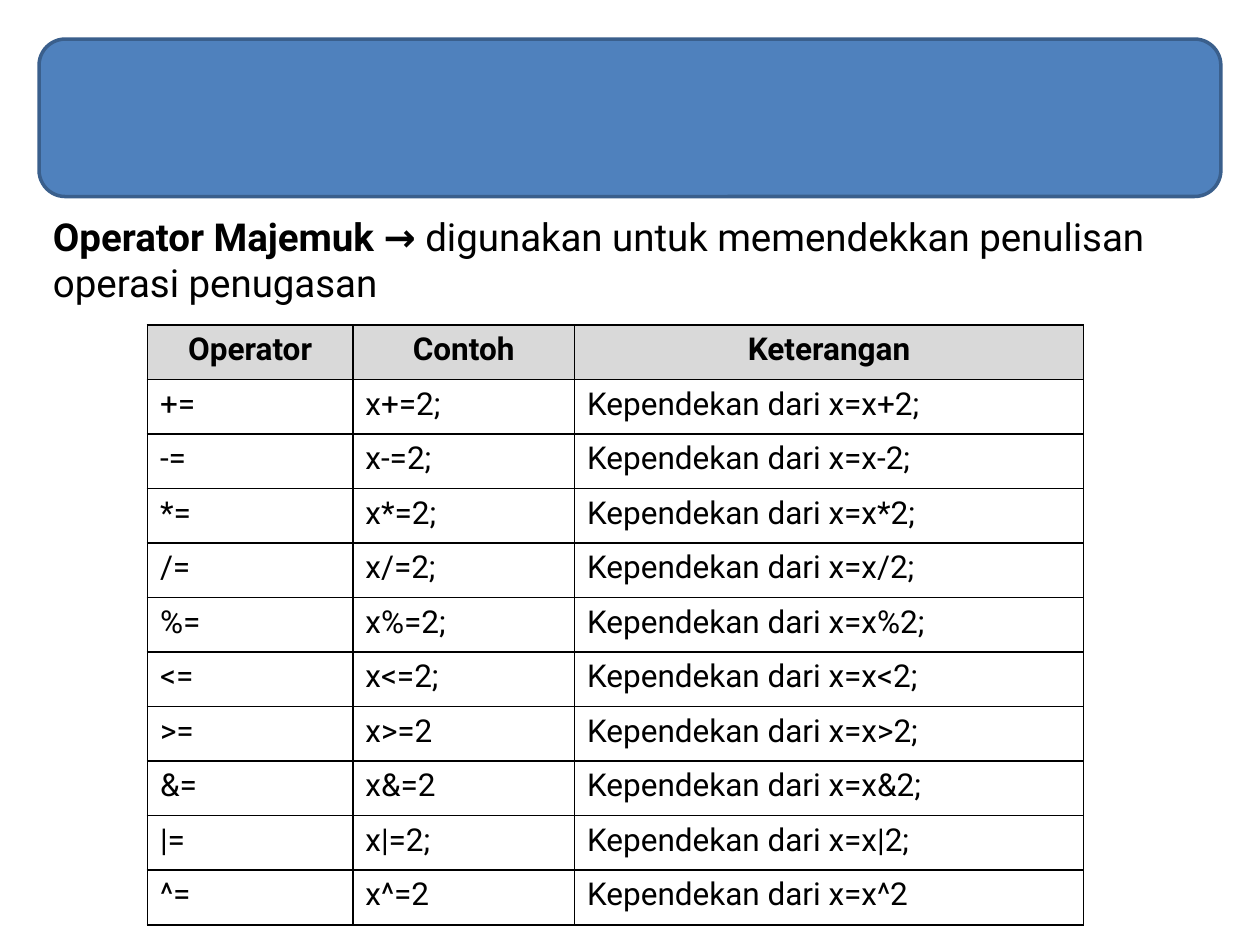
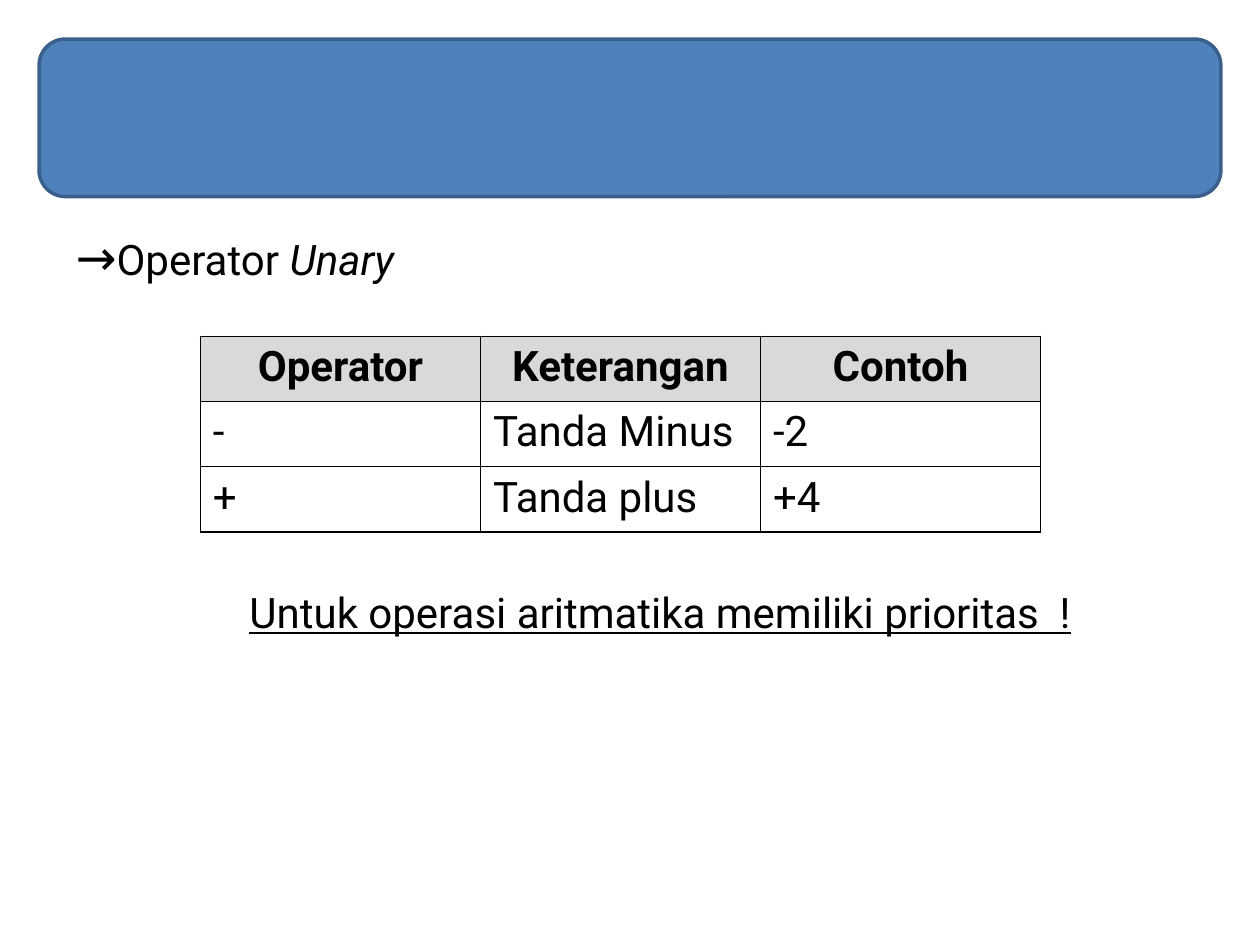
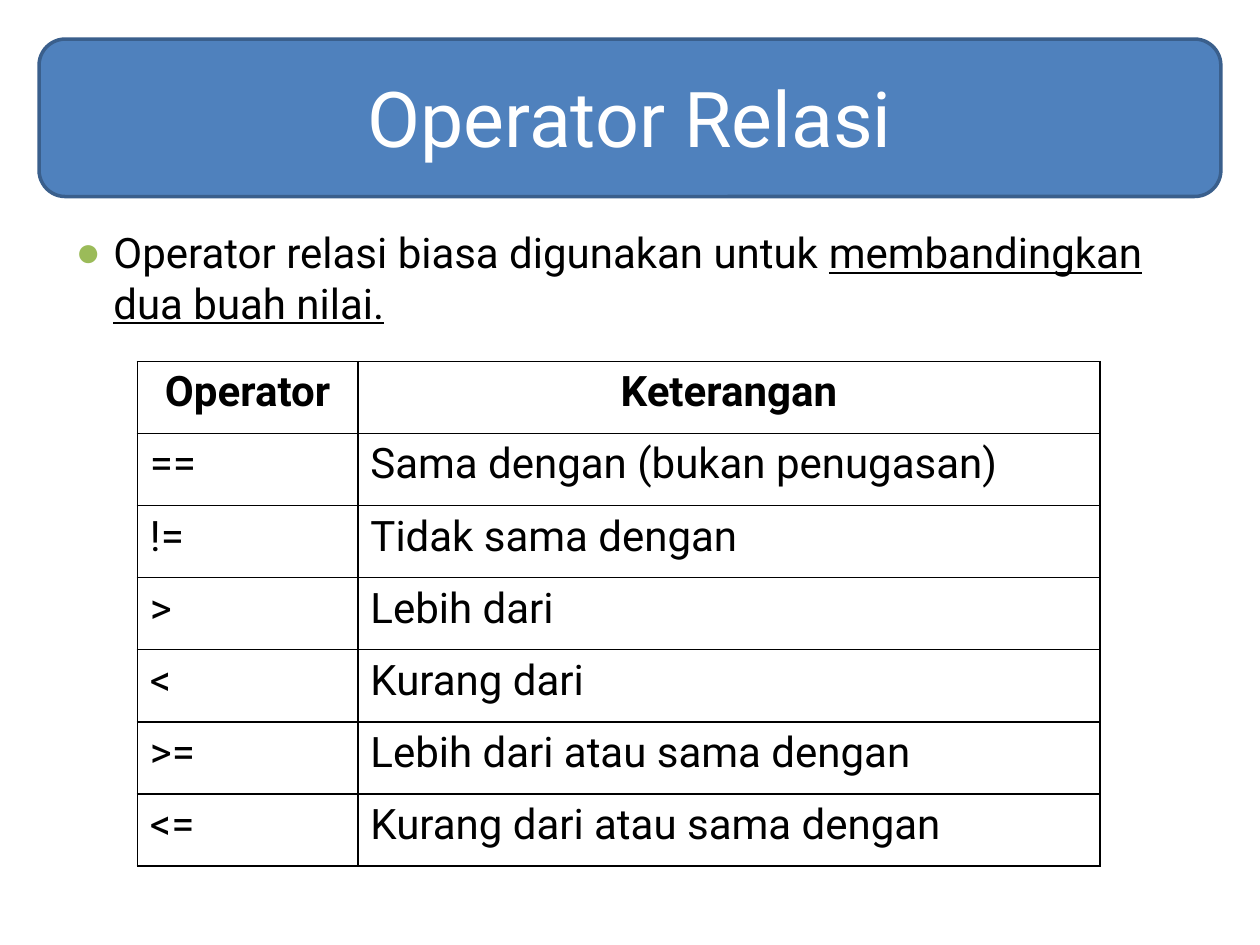
from lxml.etree import SubElement
from pptx import Presentation
from pptx.dml.color import RGBColor
from pptx.enum.shapes import MSO_SHAPE as Shape
from pptx.enum.text import MSO_ANCHOR as Anchor, MSO_AUTO_SIZE as AutoSize, PP_ALIGN as Align
from pptx.oxml.ns import qn
from pptx.util import Inches, Pt

prs = Presentation()
prs.slide_width, prs.slide_height = Inches(10), Inches(7.5)
col, row = prs.slide_width / 100, prs.slide_height / 75
BLACK, WHITE, GREY = "000000", "FFFFFF", "D9D9D9"
BLUE, NAVY, GREEN = "4F81BD", "3A5F8C", "9BBB59"
rgb = RGBColor.from_string


def put(p, text, size=24, color=BLACK, bold=False, italic=False, underline=False):
    r = p.add_run()
    r.text = text
    f = r.font
    f.name, f.size, f.color.rgb = "Roboto", Pt(size), rgb(color)
    f.bold, f.italic, f.underline = bold, italic, underline


def place(sp, left, top, width, height):
    sp.left, sp.top = int(left * col), int(top * row)
    sp.width, sp.height = int(width * col), int(height * row)


compound = [("Operator", "Contoh", "Keterangan")]
for op in ("+", "-", "*", "/", "%", "<", ">", "&", "|", "^"):
    example_end = "" if op in ">&^" else ";"
    meaning_end = "" if op == "^" else ";"
    compound.append((f"{op}=", f"x{op}=2{example_end}", f"Kependekan dari x=x{op}2{meaning_end}"))

unary = [
    ("Operator", "Keterangan", "Contoh"),
    ("-", "Tanda Minus", "-2"),
    ("+", "Tanda plus", "+4"),
]

relational = [
    ("Operator", "Keterangan"),
    ("==", "Sama dengan (bukan penugasan)"),
    ("!=", "Tidak sama dengan"),
    (">", "Lebih dari"),
    ("<", "Kurang dari"),
    (">=", "Lebih dari atau sama dengan"),
    ("<=", "Kurang dari atau sama dengan"),
]

pages = [
    ("", (3.2, 16.4, 89.8, 9.4), compound, (11.7, 25.8), (16.3, 17.6, 40.4), 4.33, 18, GREY),
    ("", (5, 17.5, 90, 49.5), unary, (15.9, 26.7), (22.23, 22.23, 22.23), 5.17, 24, GREY),
    ("Operator Relasi", (5, 17.5, 90, 49.5), relational, (10.9, 28.7), (17.5, 58.9), 5.72, 24, None),
]

bodies = []
for title, body_box, data, (left, top), widths, height, size, head_fill in pages:
    s = prs.slides.add_slide(prs.slide_layouts[1])
    heading, body = s.placeholders
    if title:
        place(heading, 5, 3, 90, 12.5)
        heading.text_frame.vertical_anchor = Anchor.MIDDLE
        p = heading.text_frame.paragraphs[0]
        p.alignment = Align.CENTER
        put(p, title, size=44, color=WHITE)
    else:
        heading.element.getparent().remove(heading.element)
    place(body, *body_box)
    body.text_frame.auto_size = AutoSize.NONE
    bodies.append(body.text_frame)

    frame = s.shapes.add_table(len(data), len(widths), 0, 0, 1, 1)
    place(frame, left, top, sum(widths), height * len(data))
    table = frame.table
    table.first_row = table.horz_banding = False
    for column, width in zip(table.columns, widths):
        column.width = int(width * col)
    for i, values in enumerate(data):
        table.rows[i].height = int(height * row)
        for j, value in enumerate(values):
            cell = table.cell(i, j)
            tc_pr = cell._tc.get_or_add_tcPr()
            for side in ("a:lnL", "a:lnR", "a:lnT", "a:lnB"):
                ln = SubElement(tc_pr, qn(side), w=str(Pt(1)))
                fill = SubElement(ln, qn("a:solidFill"))
                SubElement(fill, qn("a:srgbClr"), val=BLACK)
            if i == 0 and head_fill:
                cell.fill.solid()
                cell.fill.fore_color.rgb = rgb(head_fill)
            else:
                cell.fill.background()
            p = cell.text_frame.paragraphs[0]
            p.alignment = Align.CENTER if i == 0 else Align.LEFT
            put(p, value, size=size, bold=i == 0)

band = prs.slides[0].shapes.add_shape(Shape.ROUNDED_RECTANGLE, 0, 0, 1, 1)
place(band, 3.1, 3.1, 93.8, 12.5)
band.shadow.inherit = False
band.fill.solid()
band.fill.fore_color.rgb = rgb(BLUE)
band.line.color.rgb = rgb(NAVY)
band.line.width = Pt(2)
prs.slide_master.shapes.element.insert(2, band.element)

compound_text, unary_text, relational_text = bodies

p = compound_text.paragraphs[0]
put(p, "Operator Majemuk → ", size=22, bold=True)
put(p, "digunakan untuk memendekkan penulisan operasi penugasan", size=22)

p = unary_text.paragraphs[0]
put(p, "→", size=28)
put(p, "Operator ")
put(p, "Unary", italic=True)
p = unary_text.add_paragraph()
p.space_before = Pt(172)
put(p, "Untuk operasi aritmatika memiliki prioritas  !", underline=True)

p = relational_text.paragraphs[0]
put(p, "Operator relasi biasa digunakan untuk ")
put(p, "membandingkan dua buah nilai.", underline=True)

indents = (0, 0, None), (3.8, -3.8, None), (13.8, 0, None), (3, -3, "●")
paragraphs = [p for tf in bodies for p in tf.paragraphs]
for p, (margin, indent, bullet) in zip(paragraphs, indents):
    p_pr = p._p.get_or_add_pPr()
    p_pr.set("marL", str(int(margin * col)))
    p_pr.set("indent", str(int(indent * col)))
    if bullet:
        SubElement(SubElement(p_pr, qn("a:buClr")), qn("a:srgbClr"), val=GREEN)
        SubElement(p_pr, qn("a:buChar"), char=bullet)
    else:
        SubElement(p_pr, qn("a:buNone"))

prs.save("out.pptx")
